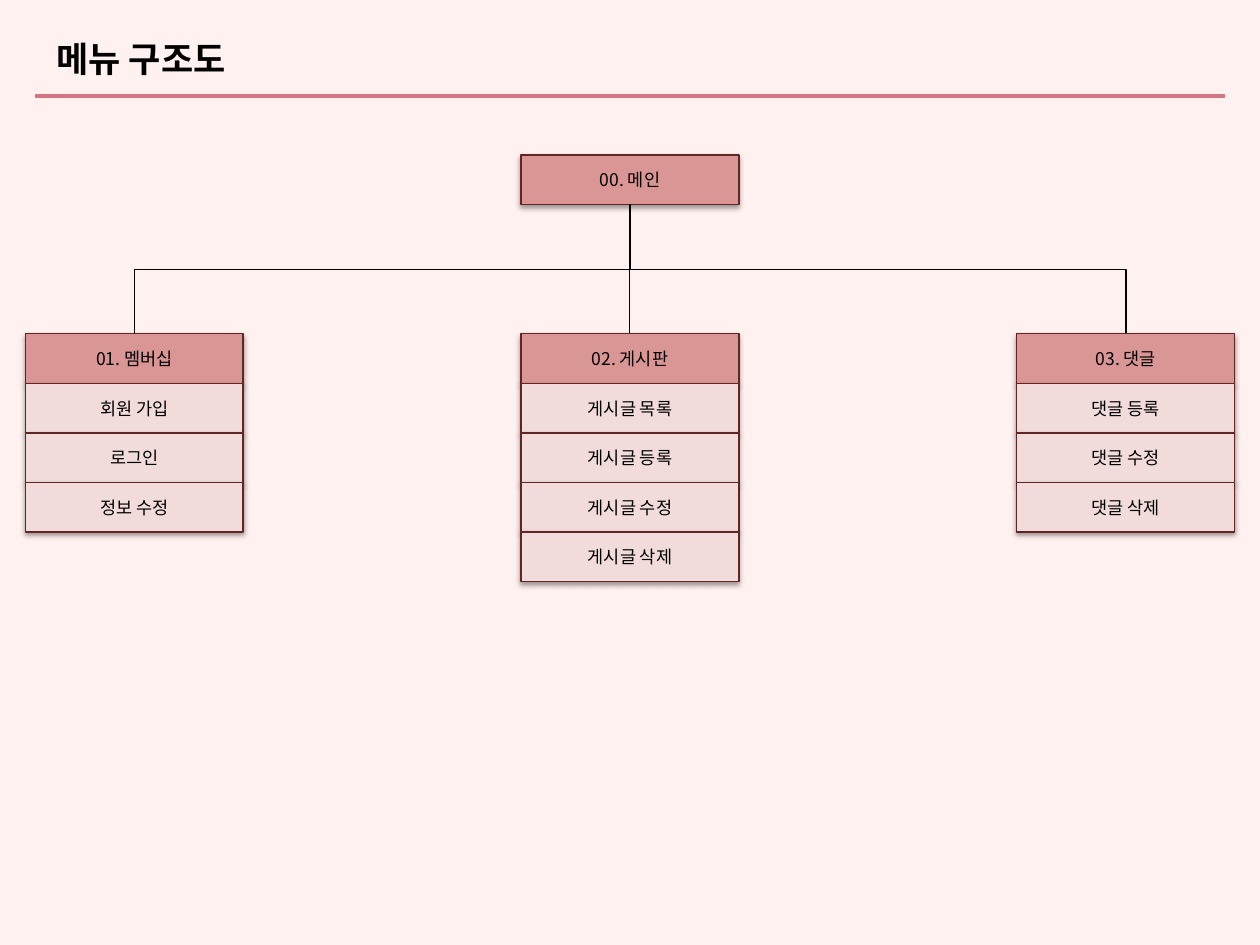
import pptx
import pptx.dml.color
import pptx.enum.shapes
import pptx.enum.text
import pptx.oxml
import pptx.oxml.ns
import pptx.util
from lxml import etree

FONT = "Noto Sans CJK KR"
COLORS = {
    "background": "FFF1EF",
    "header": "D99694",
    "item": "F2DCDB",
    "border": "632523",
    "rule": "D67484",
    "ink": "000000",
}
SLIDE_W, SLIDE_H = 10, 7.5
BOX_W, ROW_H = 1.73, 0.393
LEFT, COLUMN_STEP = 0.2, 3.935
MAIN_TOP, MENU_TOP = 1.23, 2.65
MAIN_COLUMN = 1
MENUS = [
    ("01. 멤버십", ["회원 가입", "로그인", "정보 수정"]),
    ("02. 게시판", ["게시글 목록", "게시글 등록", "게시글 수정", "게시글 삭제"]),
    ("03. 댓글", ["댓글 등록", "댓글 수정", "댓글 삭제"]),
]


def inches(*values):
    return [pptx.util.Inches(v) for v in values]


def color(name):
    return pptx.dml.color.RGBColor.from_string(COLORS[name])


def column_left(column):
    return LEFT + column * COLUMN_STEP


def column_center(column):
    return column_left(column) + BOX_W / 2


def format_text(tf, size, bold=False):
    for r in tf.paragraphs[0].runs:
        r.font.size = pptx.util.Pt(size)
        r.font.bold = bold
        r.font.name = FONT
        r.font.color.rgb = color("ink")
        ea = etree.SubElement(r.font._element, pptx.oxml.ns.qn("a:ea"))
        ea.set("typeface", FONT)


def add_shadow(sp):
    sp.shadow.inherit = False
    effects = sp._element.spPr.find(pptx.oxml.ns.qn("a:effectLst"))
    effects.append(pptx.oxml.parse_xml(
        f'<a:outerShdw {pptx.oxml.ns.nsdecls("a")} blurRad="{pptx.util.Pt(3.1)}" '
        f'dist="{pptx.util.Pt(1.6)}" dir="5400000" rotWithShape="0">'
        f'<a:srgbClr val="{COLORS["ink"]}"><a:alpha val="38000"/></a:srgbClr>'
        '</a:outerShdw>'))


def add_box(s, column, top, text, fill):
    sp = s.shapes.add_shape(pptx.enum.shapes.MSO_SHAPE.RECTANGLE,
                            *inches(column_left(column), top, BOX_W, ROW_H))
    sp.fill.solid()
    sp.fill.fore_color.rgb = color(fill)
    sp.line.color.rgb = color("border")
    sp.line.width = pptx.util.Pt(0.75)
    add_shadow(sp)
    tf = sp.text_frame
    tf.text = text
    tf.vertical_anchor = pptx.enum.text.MSO_ANCHOR.MIDDLE
    tf.paragraphs[0].alignment = pptx.enum.text.PP_ALIGN.CENTER
    format_text(tf, 10)


def add_line(s, kind, ends, line_color, width):
    line = s.shapes.add_connector(kind, *inches(*ends))
    line.line.color.rgb = color(line_color)
    line.line.width = pptx.util.Pt(width)
    etree.SubElement(line._element.spPr, pptx.oxml.ns.qn("a:effectLst"))
    return line


def add_branch(s, column):
    start, end = column_center(MAIN_COLUMN), column_center(column)
    top = MAIN_TOP + ROW_H
    x, y = (start + end) / 2, (top + MENU_TOP) / 2
    half_drop, half_span = (MENU_TOP - top) / 2, abs(end - start) / 2
    side = 1 if end < start else -1
    ends = (x - side * half_drop, y - half_span, x + side * half_drop, y + half_span)
    branch = add_line(s, pptx.enum.shapes.MSO_CONNECTOR.ELBOW, ends, "ink", 0.75)
    quarter_turn = 90 if side == 1 else 270
    branch._element.spPr.xfrm.set("rot", str(quarter_turn * 60000))


def add_menu(s, column, header, items):
    add_box(s, column, MENU_TOP, header, "header")
    for row, item in enumerate(items, 1):
        add_box(s, column, MENU_TOP + row * ROW_H, item, "item")


def add_title(s, text):
    sp = s.shapes.add_textbox(*inches(0.35, 0.25, 6.65, 0.44))
    tf = sp.text_frame
    tf.word_wrap = True
    tf.auto_size = pptx.enum.text.MSO_AUTO_SIZE.SHAPE_TO_FIT_TEXT
    tf.text = text
    format_text(tf, 20, bold=True)
    add_line(s, pptx.enum.shapes.MSO_CONNECTOR.STRAIGHT,
             (0.28, 0.76, SLIDE_W - 0.28, 0.76), "rule", 2.5)


def main():
    prs = pptx.Presentation()
    prs.slide_width, prs.slide_height = inches(SLIDE_W, SLIDE_H)
    s = prs.slides.add_slide(prs.slide_layouts[6])
    s.background.fill.solid()
    s.background.fill.fore_color.rgb = color("background")
    add_title(s, "메뉴 구조도")
    add_box(s, MAIN_COLUMN, MAIN_TOP, "00. 메인", "header")
    for column, (header, items) in enumerate(MENUS):
        add_branch(s, column)
        add_menu(s, column, header, items)
    prs.save("out.pptx")


main()
